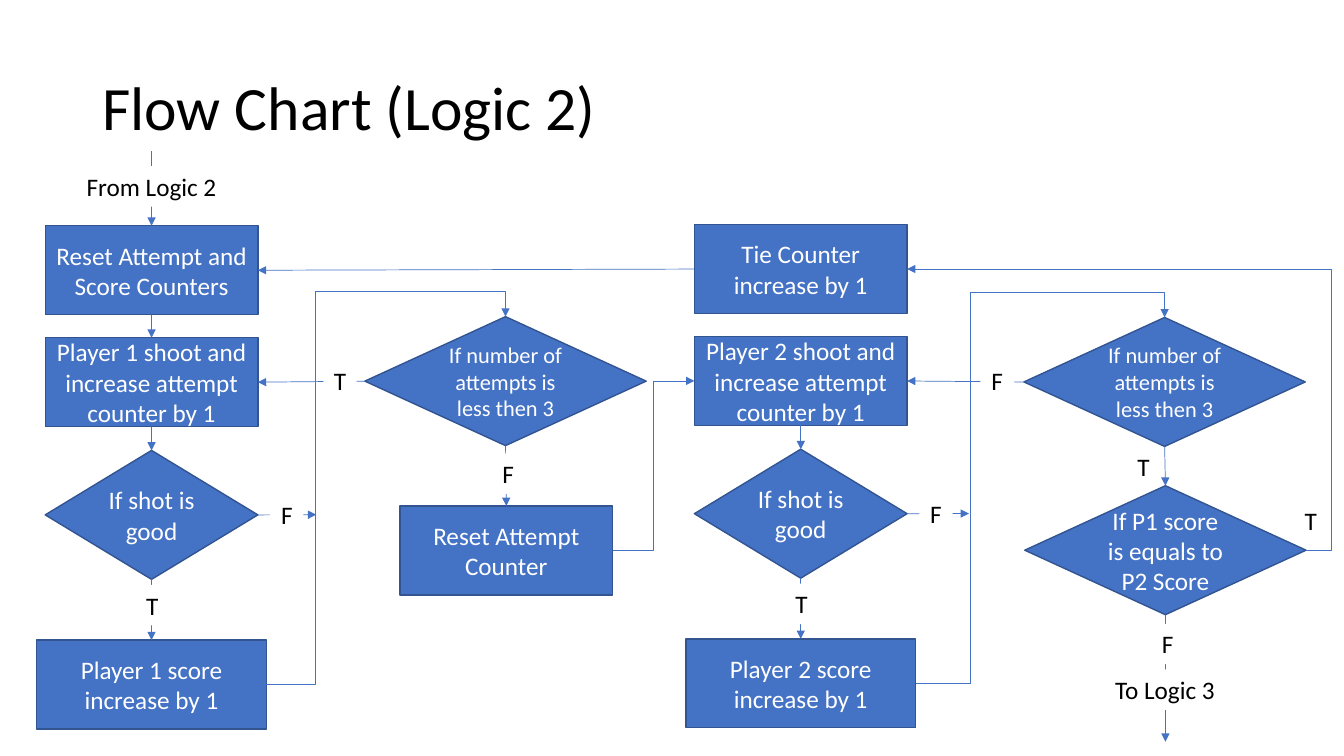
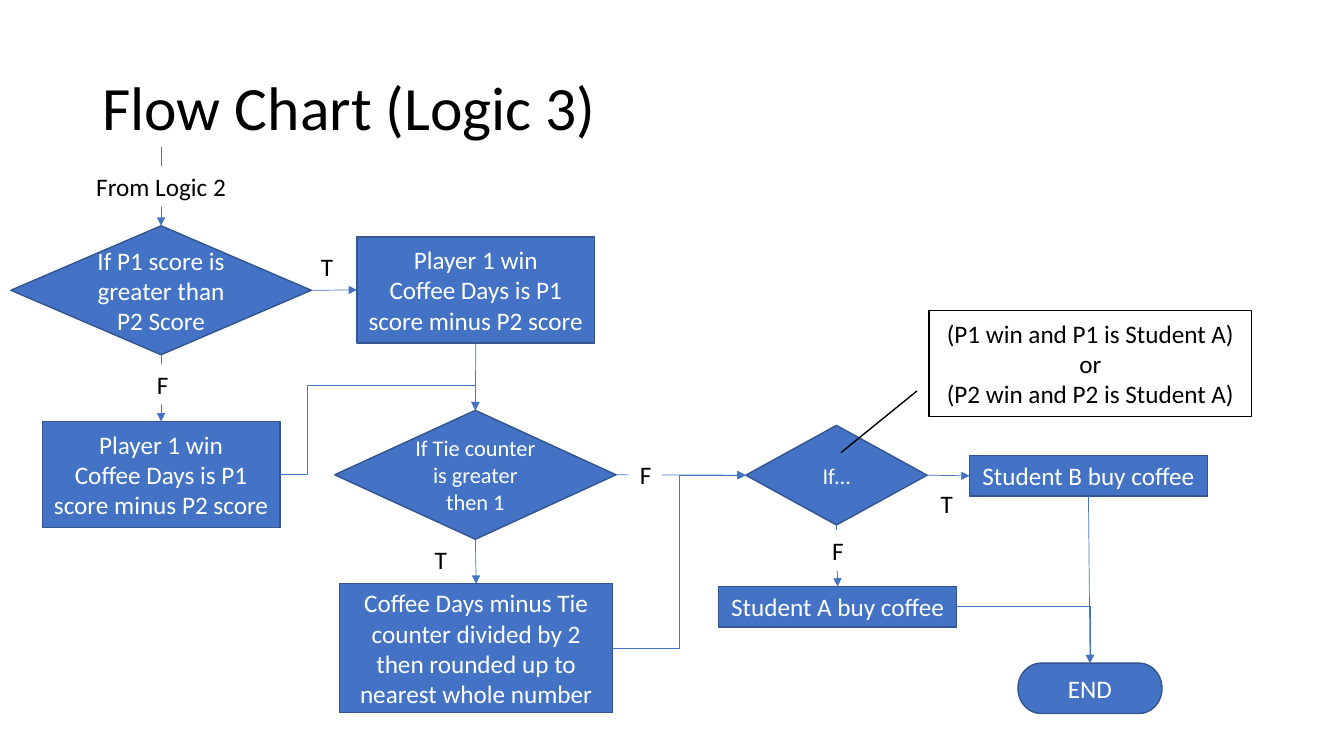
from dataclasses import dataclass

from pptx import Presentation
from pptx.dml.color import RGBColor
from pptx.enum.shapes import MSO_CONNECTOR, MSO_SHAPE
from pptx.enum.text import MSO_ANCHOR, PP_ALIGN
from pptx.oxml.ns import qn
from pptx.oxml.xmlchemy import OxmlElement
from pptx.util import Cm, Pt

BLUE = RGBColor(0x44, 0x72, 0xC4)
EDGE = RGBColor(0x32, 0x54, 0x91)
WHITE = RGBColor(0xFF, 0xFF, 0xFF)
BLACK = RGBColor(0x00, 0x00, 0x00)
FONT = "Calibri"

PROCESS = MSO_SHAPE.FLOWCHART_PROCESS
DECISION = MSO_SHAPE.FLOWCHART_DECISION
TERMINATOR = MSO_SHAPE.FLOWCHART_TERMINATOR
CALLOUT = MSO_SHAPE.LINE_CALLOUT_1
RECT = MSO_SHAPE.RECTANGLE
STRAIGHT = MSO_CONNECTOR.STRAIGHT
ELBOW = MSO_CONNECTOR.ELBOW
CENTER = PP_ALIGN.CENTER
MIDDLE, ANCHOR_TOP = MSO_ANCHOR.MIDDLE, MSO_ANCHOR.TOP

# Connection sites, in the order the presets number them
TOP, LEFT, BOTTOM, RIGHT = range(4)

# Sizes in cm
BOX = (5.36, 2.24)
SCORE_BOX = (5.79, 2.24)
SHOT = (5.36, 3.25)
WIDE = (7.09, 3.25)
WIN_BOX = (5.99, 2.67)
BUY_BOX = (5.99, 1.02)

End = tuple[str, int] | tuple[float, float]


@dataclass
class Node:
    """A flow chart symbol, placed by its centre line and top edge."""
    name: str
    text: str
    cx: float
    top: float
    size: tuple[float, float] = BOX
    kind: MSO_SHAPE = PROCESS
    pt: int = 18
    fill: RGBColor = BLUE
    edge: RGBColor = EDGE
    ink: RGBColor = WHITE
    adj: tuple[float, ...] = ()


@dataclass
class Link:
    """An arrow between (node, side) ends or free points; adj makes it bend."""
    start: End
    end: End
    adj: tuple[float, ...] | None = None


@dataclass
class Label:
    text: str
    cx: float
    top: float
    width: float = 0.84


@dataclass
class Chart:
    title: str
    nodes: list[Node]
    links: list[Link]
    labels: list[Label]


def write(tf, text: str, pt: int, ink: RGBColor, align=None) -> None:
    tf.word_wrap = True
    for i, line in enumerate(text.split("\n")):
        p = tf.paragraphs[0] if i == 0 else tf.add_paragraph()
        p.alignment = align
        r = p.add_run()
        r.text = line
        r.font.name, r.font.size = FONT, Pt(pt)
        r.font.color.rgb = ink


def add_title(s, text: str) -> None:
    tf = s.shapes.add_textbox(Cm(2.33), Cm(0.94), Cm(29.21), Cm(3.68)).text_frame
    tf.vertical_anchor = MIDDLE
    write(tf, text, 44, BLACK)
    tf.paragraphs[0].line_spacing = 0.9


def add_block(s, kind: MSO_SHAPE, cx: float, top: float,
              size: tuple[float, float], fill: RGBColor):
    w, h = size
    sp = s.shapes.add_shape(kind, Cm(cx - w / 2), Cm(top), Cm(w), Cm(h))
    sp.shadow.inherit = False
    sp.fill.solid()
    sp.fill.fore_color.rgb = fill
    return sp


def add_node(s, node: Node):
    sp = add_block(s, node.kind, node.cx, node.top, node.size, node.fill)
    sp.line.color.rgb, sp.line.width = node.edge, Pt(1)
    for i, value in enumerate(node.adj):
        sp.adjustments[i] = value
    sp.text_frame.vertical_anchor = MIDDLE
    write(sp.text_frame, node.text, node.pt, node.ink, CENTER)
    return sp


def add_label(s, label: Label) -> None:
    sp = add_block(s, RECT, label.cx, label.top, (label.width, 1.02), WHITE)
    sp.line.fill.background()
    tf = sp.text_frame
    tf.margin_left = tf.margin_right = 0
    tf.vertical_anchor = ANCHOR_TOP
    write(tf, label.text, 18, BLACK, CENTER)


def locate(end: End, shapes: dict) -> tuple[int, int]:
    if not isinstance(end[0], str):
        return Cm(end[0]), Cm(end[1])
    sp, side = shapes[end[0]], end[1]
    dx = {LEFT: 0, RIGHT: sp.width}.get(side, sp.width // 2)
    dy = {TOP: 0, BOTTOM: sp.height}.get(side, sp.height // 2)
    return sp.left + dx, sp.top + dy


def add_link(s, link: Link, shapes: dict) -> None:
    kind = STRAIGHT if link.adj is None else ELBOW
    c = s.shapes.add_connector(kind, *locate(link.start, shapes),
                               *locate(link.end, shapes))
    for end, connect in ((link.start, c.begin_connect), (link.end, c.end_connect)):
        if isinstance(end[0], str):
            connect(shapes[end[0]], end[1])
    c.line.color.rgb, c.line.width = BLUE, Pt(0.5)

    # Bends, arrowhead and no shadow
    spPr = c._element.spPr
    if link.adj is not None:
        geom = spPr.find(qn("a:prstGeom"))
        geom.set("prst", f"bentConnector{2 + len(link.adj)}")
        for i, value in enumerate(link.adj, 1):
            gd = OxmlElement("a:gd")
            gd.set("name", f"adj{i}")
            gd.set("fmla", f"val {round(value * 100000)}")
            geom.find(qn("a:avLst")).append(gd)
    tail = OxmlElement("a:tailEnd")
    tail.set("type", "triangle")
    spPr.find(qn("a:ln")).append(tail)
    spPr.append(OxmlElement("a:effectLst"))


def player_lane(n: int, cx: float, top: float, rail: float,
                adj: tuple[float, float]) -> Chart:
    """The shoot, check and score steps of one player."""
    shoot, shot, score = f"shoot{n}", f"shot{n}", f"score{n}"
    return Chart(
        "",
        [Node(shoot, f"Player {n} shoot and increase attempt counter by 1",
              cx, top + 2.82),
         Node(shot, "If shot is good", cx, top + 5.66, SHOT, DECISION),
         Node(score, f"Player {n} score increase by 1", cx, top + 10.44, SCORE_BOX)],
        [Link((shoot, BOTTOM), (shot, TOP)),
         Link((shot, BOTTOM), (score, TOP)),
         Link((shot, RIGHT), (rail, top + 7.28)),
         Link((score, RIGHT), (f"attempts{n}", TOP), adj),
         Link((f"attempts{n}", LEFT), (shoot, RIGHT))],
        [Label("T", cx + 0.02, top + 9.05, 1.32),
         Label("F", cx + 3.41, top + 6.78)])


# Logic 2: both players shoot, then ties are checked
lane1 = player_lane(1, 3.82, 5.69, 7.97, (0.206, 1.068))
lane2 = player_lane(2, 20.18, 5.66, 24.42, (0.218, 1.069))
ATTEMPTS = "If number of attempts is less then 3"
logic2 = Chart(
    "Flow Chart (Logic 2)",
    lane1.nodes + lane2.nodes + [
        Node("reset", "Reset Attempt and Score Counters", 3.82, 5.69),
        Node("tie", "Tie Counter increase by 1", 20.18, 5.66),
        Node("attempts1", ATTEMPTS, 12.74, 7.98, WIDE, DECISION, 16),
        Node("attempts2", ATTEMPTS, 29.35, 8, WIDE, DECISION, 16),
        Node("clear", "Reset Attempt Counter", 12.76, 12.75),
        Node("equal", "If P1 score is equals to P2 Score", 29.37, 12.24,
             WIDE, DECISION)],
    lane1.links + lane2.links + [
        Link((3.82, 3.81), ("reset", TOP)),
        Link(("reset", BOTTOM), ("shoot1", TOP)),
        Link(("attempts1", BOTTOM), ("clear", TOP)),
        Link(("clear", RIGHT), ("shoot2", LEFT), (0.5,)),
        Link(("attempts2", BOTTOM), ("equal", TOP)),
        Link(("equal", RIGHT), ("tie", RIGHT), (-0.063,)),
        Link(("tie", LEFT), ("reset", RIGHT)),
        Link(("equal", BOTTOM), (29.37, 18.69))],
    lane1.labels + lane2.labels + [
        Label("From Logic 2", 3.82, 4.19, 3.81),
        Label("T", 8.57, 9.09),
        Label("F", 12.81, 11.43),
        Label("F", 25.13, 9.07),
        Label("T", 28.82, 11.25),
        Label("T", 33.03, 12.62),
        Label("F", 29.43, 15.72),
        Label("To Logic 3", 29.36, 16.87, 3.3)])

# Logic 3: who wins and who buys coffee
WIN = "Player 1 win\nCoffee Days is P1 score minus P2 score"
logic3 = Chart(
    "Flow Chart (Logic 3)",
    [Node("greater", "If P1 score is greater than P2 Score", 4.06, 5.69,
          (7.57, 3.25), DECISION),
     Node("win_true", WIN, 11.99, 5.97, WIN_BOX),
     Node("win_false", WIN, 4.06, 10.62, WIN_BOX),
     Node("ties", "If Tie counter is greater then 1", 11.98, 10.34,
          WIDE, DECISION, 16),
     Node("divide", "Coffee Days minus Tie counter divided by 2 then rounded up "
          "to nearest whole number", 12, 14.71, (6.88, 3.25)),
     Node("who", "If…", 21.08, 10.72, (4.57, 2.51), DECISION, 16),
     Node("condition", "(P1 win and P1 is Student A) or\n"
          "(P2 win and P2 is Student A)", 27.48, 7.82, (8.13, 2.67), CALLOUT,
          18, WHITE, BLACK, BLACK, (0.762, -0.038, 1.343, -0.273)),
     Node("buy_a", "Student A buy coffee", 21.11, 14.78, BUY_BOX),
     Node("buy_b", "Student B buy coffee", 27.43, 11.48, BUY_BOX),
     Node("end", "END", 27.47, 16.71, (3.63, 1.27), TERMINATOR)],
    [Link((4.06, 3.71), ("greater", TOP)),
     Link(("greater", RIGHT), ("win_true", LEFT)),
     Link(("greater", BOTTOM), ("win_false", TOP)),
     Link(("win_false", RIGHT), ("ties", TOP), (0.14, 1.39)),
     Link(("win_true", BOTTOM), ("ties", TOP)),
     Link(("ties", BOTTOM), ("divide", TOP)),
     Link(("ties", RIGHT), ("who", LEFT)),
     Link(("divide", RIGHT), ("who", LEFT), (0.5,)),
     Link(("who", BOTTOM), ("buy_a", TOP)),
     Link(("who", RIGHT), ("buy_b", LEFT)),
     Link(("buy_a", RIGHT), ("end", TOP), ()),
     Link(("buy_b", BOTTOM), ("end", TOP))],
    [Label("From Logic 2", 4.06, 4.19, 3.81),
     Label("T", 8.24, 6.2),
     Label("F", 4.1, 9.17),
     Label("T", 11.11, 13.59),
     Label("F", 16.27, 11.46),
     Label("T", 23.86, 12.19),
     Label("F", 21.12, 13.36)])

prs = Presentation()
prs.slide_width, prs.slide_height = Cm(33.87), Cm(19.05)
for chart in (logic2, logic3):
    s = prs.slides.add_slide(prs.slide_layouts[6])
    add_title(s, chart.title)
    shapes = {node.name: add_node(s, node) for node in chart.nodes}
    for link in chart.links:
        add_link(s, link, shapes)
    for label in chart.labels:
        add_label(s, label)
prs.save("out.pptx")
